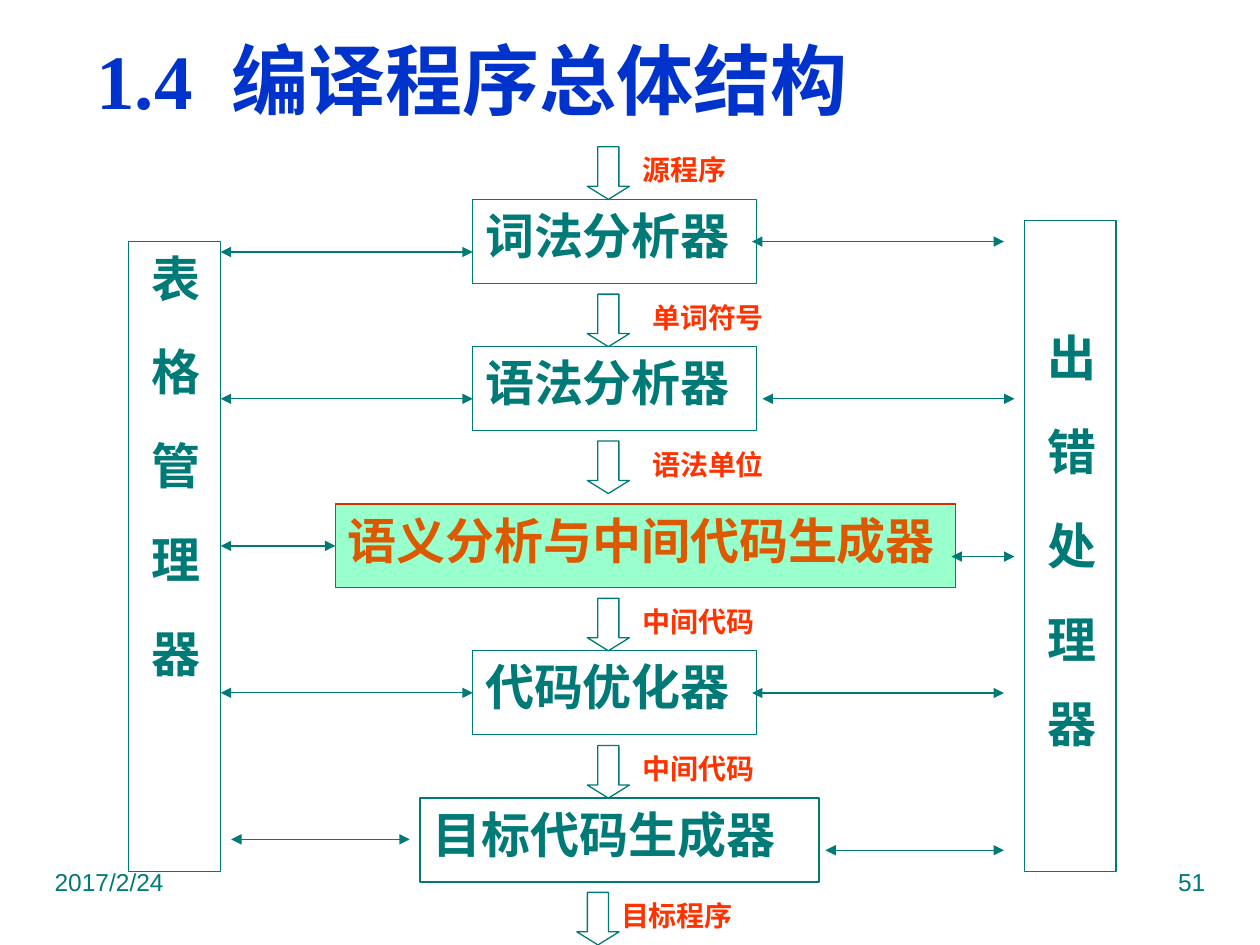
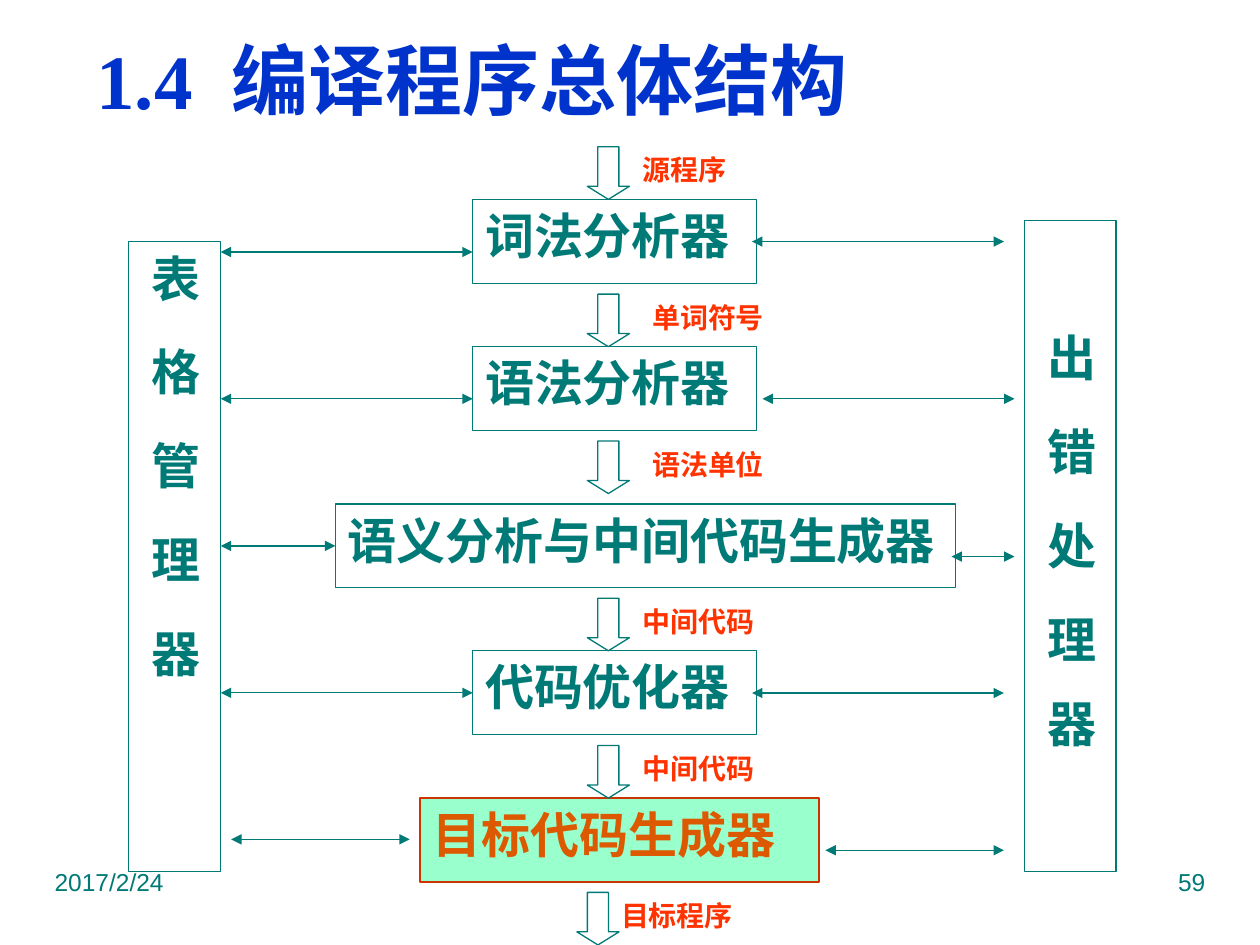
from lxml import etree
from pptx import Presentation
from pptx.dml.color import RGBColor
from pptx.enum.shapes import MSO_CONNECTOR, MSO_SHAPE
from pptx.enum.text import MSO_ANCHOR, PP_ALIGN
from pptx.oxml.ns import qn
from pptx.util import Cm, Pt

TEAL = RGBColor(0x00, 0x7A, 0x77)
BLUE = RGBColor(0x00, 0x33, 0xCC)
RED = RGBColor(0xFF, 0x33, 0x00)
MINT = RGBColor(0x99, 0xFF, 0xCC)
RUST = RGBColor(0xCC, 0x33, 0x00)
ORANGE = RGBColor(0xDC, 0x59, 0x00)
CJK = "Noto Sans CJK JP"
LINE_WIDTH = Pt(0.75)

STAGE_FONT = {"size": Pt(28), "bold": True, "name": CJK}
LABEL_FONT = {"size": Pt(16), "bold": True, "name": CJK}
FOOTER_FONT = {"size": Pt(14), "name": "Arial"}
TITLE_FONT = {"size": Pt(44), "bold": True, "name": "Times New Roman"}

# All lengths below are centimetres.
STAGE_HEIGHT = 1.69
STAGES = [  # text, left, top, width
    ("词法分析器", 9.53, 4.02, 5.72),
    ("语法分析器", 9.53, 6.99, 5.72),
    ("语义分析与中间代码生成器", 6.76, 10.16, 12.5),
    ("代码优化器", 9.53, 13.12, 5.72),
    ("目标代码生成器", 8.47, 16.09, 8.04),
]
FLOWS = [  # text, label left, arrow left, top
    ("源程序", 12.7, 11.84, 2.96),
    ("单词符号", 12.9, 11.84, 5.93),
    ("语法单位", 12.9, 11.84, 8.89),
    ("中间代码", 12.7, 11.84, 12.06),
    ("中间代码", 12.7, 11.84, 15.03),
    ("目标程序", 12.27, 11.63, 17.99),
]
TABLE_LINK_TOP, TABLE_LINK_PITCH = 5.08, 2.96
TABLE_LINKS = [(4.45, 9.53), (4.45, 9.53), (4.45, 6.76), (4.45, 9.53), (4.66, 8.26)]
JOINED_STAGES = (2, 3)  # their links meet the middle of the left side
ERROR_LINKS = [  # start, end, y
    (15.16, 20.24, 4.87),
    (15.37, 20.45, 8.04),
    (19.18, 20.45, 11.22),
    (15.16, 20.24, 13.97),
    (16.64, 20.24, 17.14),
]


def add_run(p, text, style, color, spacing=0):
    """Add a run; spacing is the extra room after each character, in points."""
    r = p.add_run()
    r.text = text
    for name, value in style.items():
        setattr(r.font, name, value)
    r.font.color.rgb = color
    rPr = r.font._element
    if spacing:
        rPr.set("spc", str(round(spacing * 100)))
    etree.SubElement(rPr, qn("a:ea")).set("typeface", CJK)


def add_text(s, text, box, style, color, align=PP_ALIGN.LEFT):
    tb = s.shapes.add_textbox(*map(Cm, box))
    tb.text_frame.word_wrap = True
    p = tb.text_frame.paragraphs[0]
    p.alignment = align
    add_run(p, text, style, color)


def add_outline(s, kind, box, line=TEAL, fill=None):
    sp = s.shapes.add_shape(kind, *map(Cm, box))
    sp.shadow.inherit = False
    sp.line.color.rgb = line
    sp.line.width = LINE_WIDTH
    if fill is None:
        sp.fill.background()
    else:
        sp.fill.solid()
        sp.fill.fore_color.rgb = fill
    return sp


def add_stage(s, text, left, top, width, active):
    box = (left, top, width, STAGE_HEIGHT)
    line, fill, color = (RUST, MINT, ORANGE) if active else (TEAL, None, TEAL)
    sp = add_outline(s, MSO_SHAPE.RECTANGLE, box, line, fill)
    tf = sp.text_frame
    tf.word_wrap = True
    tf.vertical_anchor = MSO_ANCHOR.TOP
    p = tf.paragraphs[0]
    p.alignment = PP_ALIGN.LEFT
    add_run(p, text, STAGE_FONT, color)
    return sp


def add_manager(s, parts, box, indent=0):
    """Add a tall box of vertical text; parts are (text, spacing) pairs."""
    tf = add_outline(s, MSO_SHAPE.RECTANGLE, box).text_frame
    tf.word_wrap = True
    tf.vertical_anchor = MSO_ANCHOR.MIDDLE
    tf._txBody.bodyPr.set("vert", "eaVert")
    p = tf.paragraphs[0]
    p.alignment = PP_ALIGN.LEFT
    p._p.get_or_add_pPr().set("marL", str(Cm(indent)))
    for text, spacing in parts:
        add_run(p, text, STAGE_FONT, TEAL, spacing)


def add_link(s, start, end, y):
    """Add a horizontal line with an arrowhead at both ends."""
    c = s.shapes.add_connector(
        MSO_CONNECTOR.STRAIGHT, Cm(start), Cm(y), Cm(end), Cm(y))
    c.line.color.rgb = TEAL
    c.line.width = LINE_WIDTH
    ln = c.line._get_or_add_ln()
    for tag in ("a:headEnd", "a:tailEnd"):
        etree.SubElement(ln, qn(tag)).set("type", "triangle")
    etree.SubElement(c._element.spPr, qn("a:effectLst"))
    return c


def add_flow(s, text, label_left, arrow_left, top):
    sp = add_outline(s, MSO_SHAPE.DOWN_ARROW, (arrow_left, top, 0.85, 1.06))
    sp.adjustments[0], sp.adjustments[1] = 0.5, 0.31
    add_text(s, text, (label_left, top, 3.39, 0.85), LABEL_FONT, RED)


def set_title(s):
    title = s.shapes.title
    box = {"left": 1.69, "top": 0.64, "width": 22.86, "height": 1.91}
    for name, value in box.items():
        setattr(title, name, Cm(value))
    tf = title.text_frame
    tf.vertical_anchor = MSO_ANCHOR.MIDDLE
    p = tf.paragraphs[0]
    p.alignment = PP_ALIGN.LEFT
    add_run(p, "1.4", TITLE_FONT, BLUE)
    add_run(p, " ", TITLE_FONT, BLUE, spacing=11)
    add_run(p, "编译程序总体结构", TITLE_FONT, BLUE)


def add_structure_slide(prs, number, active_stage):
    s = prs.slides.add_slide(prs.slide_layouts[5])
    set_title(s)
    add_text(s, "2017/2/24", (0.85, 17.36, 6.35, 1.32), FOOTER_FONT, TEAL)
    add_text(s, number, (18.2, 17.36, 6.35, 1.32), FOOTER_FONT, TEAL, PP_ALIGN.RIGHT)

    stages = [add_stage(s, *stage, active=stage[0] == active_stage)
              for stage in STAGES]
    add_manager(s, [("表格管理器", 25.7)], (2.59, 4.87, 1.85, 12.7))
    add_manager(s, [("出错处", 25.7), ("理", 20), ("器", 0)],
                (20.65, 4.45, 1.85, 13.12), indent=2.03)

    for i, (start, end) in enumerate(TABLE_LINKS):
        c = add_link(s, start, end, TABLE_LINK_TOP + i * TABLE_LINK_PITCH)
        if i in JOINED_STAGES:
            c.end_connect(stages[i], 1)
            c.begin_y = c.end_y
    for link in ERROR_LINKS:
        add_link(s, *link)
    for flow in FLOWS:
        add_flow(s, *flow)


def main():
    prs = Presentation()
    prs.slide_width, prs.slide_height = Cm(25.4), Cm(19.05)
    add_structure_slide(prs, "51", "语义分析与中间代码生成器")
    add_structure_slide(prs, "59", "目标代码生成器")
    prs.save("out.pptx")


if __name__ == "__main__":
    main()
